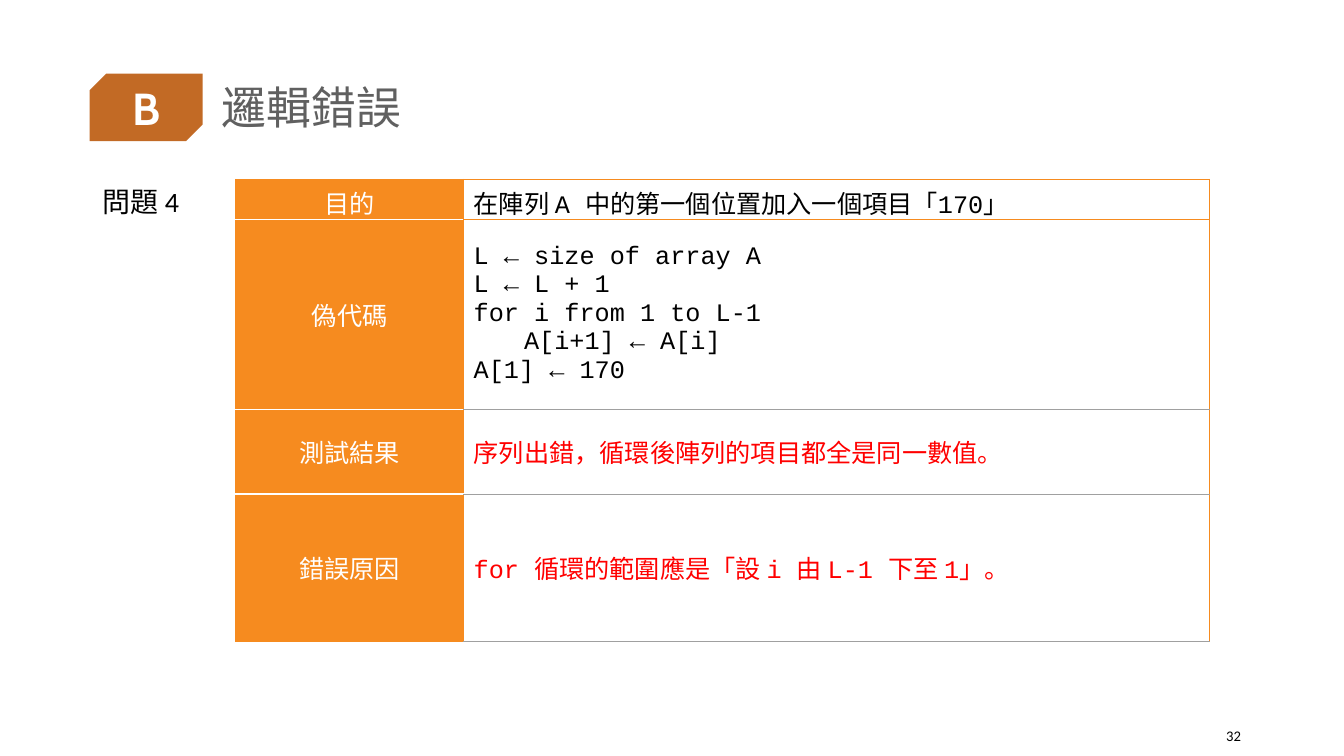
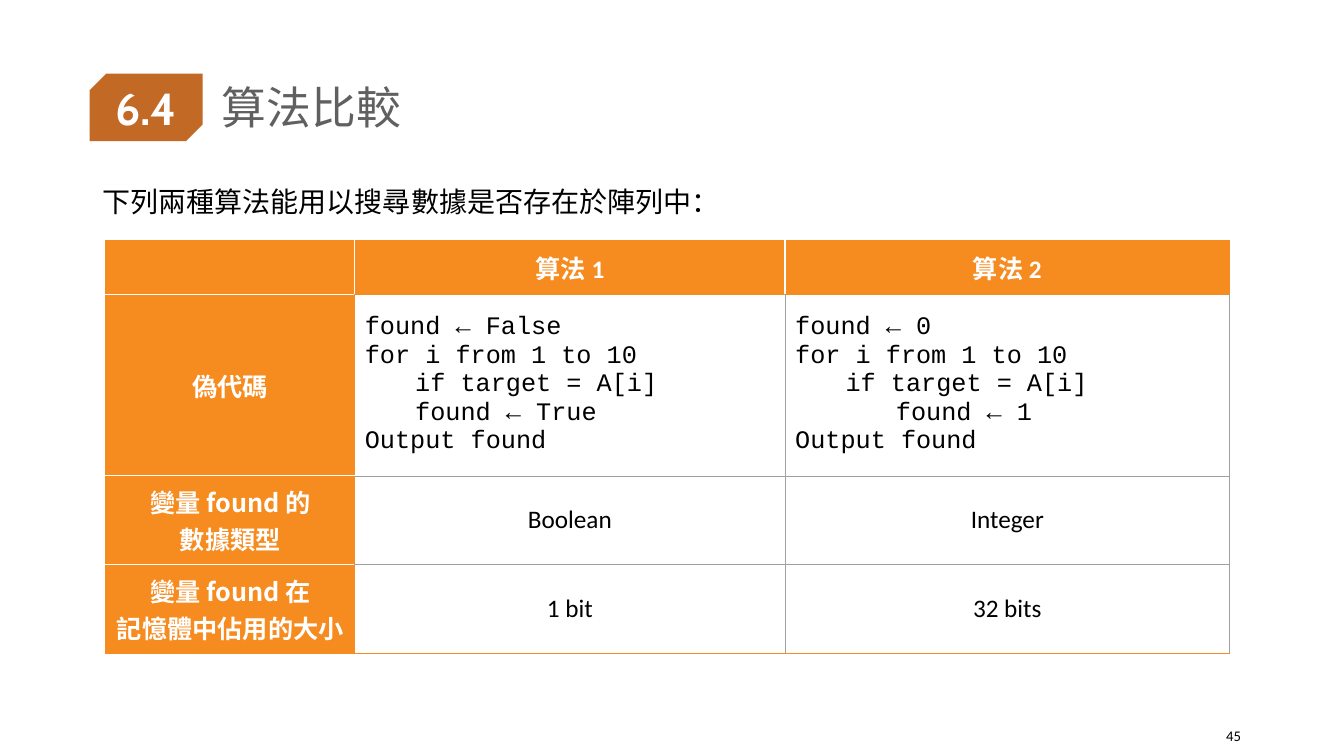
"""Build two lesson slides on logic errors and algorithm comparison."""
from lxml import etree
from pptx import Presentation
from pptx.dml.color import RGBColor
from pptx.enum.shapes import MSO_SHAPE
from pptx.enum.text import MSO_ANCHOR, PP_ALIGN
from pptx.oxml.ns import qn
from pptx.util import Pt

BADGE_SHAPE = MSO_SHAPE.SNIP_2_DIAG_RECTANGLE
MIDDLE, TOP = MSO_ANCHOR.MIDDLE, MSO_ANCHOR.TOP
LEFT, CENTER, RIGHT = PP_ALIGN.LEFT, PP_ALIGN.CENTER, PP_ALIGN.RIGHT

COLORS = {
    "badge": "C26A25",
    "title": "606060",
    "orange": "F68B1F",
    "white": "FFFFFF",
    "black": "000000",
    "red": "FF0000",
    "grey": "A0A0A0",
}
CJK, LATIN, MONO, BADGE = "Noto Sans CJK TC", "Calibri", "Courier New", "Cabin"
NEIGHBOURS = {"L": (0, -1), "R": (0, 1), "T": (-1, 0), "B": (1, 0)}


def rgb(name):
    return RGBColor.from_string(COLORS[name])


def style_run(run, font, size, color, bold=False):
    run.font.name = font
    run.font.size = Pt(size)
    run.font.bold = bold
    run.font.color.rgb = rgb(color)
    east_asian = etree.Element(qn("a:ea"))
    east_asian.set("typeface", MONO if font == MONO else CJK)
    run.font._element.find(qn("a:latin")).addnext(east_asian)


def write(frame, lines, size, color, align=LEFT, bold=False):
    for index, segments in enumerate(lines):
        paragraph = frame.add_paragraph() if index else frame.paragraphs[0]
        paragraph.alignment = align
        for text, font in segments:
            run = paragraph.add_run()
            run.text = text
            style_run(run, font, size, color, bold)


def lines_in(font, *texts):
    return [[(text, font)] for text in texts]


def add_text(slide, box, text, font, size, color, align=LEFT, anchor=MIDDLE):
    frame = slide.shapes.add_textbox(*map(Pt, box)).text_frame
    frame.word_wrap = True
    frame.vertical_anchor = anchor
    write(frame, lines_in(font, text), size, color, align)
    return frame


def add_badge(slide, text):
    badge = slide.shapes.add_shape(BADGE_SHAPE, Pt(64.1), Pt(52.6), Pt(80.6), Pt(48.2))
    badge.adjustments[0], badge.adjustments[1] = 0.245, 0
    badge.shadow.inherit = False
    badge.fill.solid()
    badge.fill.fore_color.rgb = rgb("badge")
    badge.line.fill.background()
    badge.text_frame.word_wrap = False
    badge.text_frame.vertical_anchor = MIDDLE
    write(badge.text_frame, lines_in(BADGE, text), 32, "white", CENTER, True)


def add_page(deck, section, title, intro, intro_font, number):
    slide = deck.slides.add_slide(deck.slide_layouts[6])
    add_badge(slide, section)
    heading = add_text(slide, (151.2, 28.8, 743, 99.4), title, CJK, 32, "title")
    heading.paragraphs[0].line_spacing = 0.9
    add_text(slide, (833, 511.2, 60.5, 28.8), number, LATIN, 10.5, "black", RIGHT)
    add_text(slide, (66.2, 128.5, 828, 40), intro, intro_font, 20, "black", anchor=TOP)
    return slide


def set_border(cell, side, color):
    width = Pt(0.5 if color == "grey" else 1)
    line = etree.SubElement(cell._tc.get_or_add_tcPr(), qn(f"a:ln{side}"), w=str(width))
    fill = etree.SubElement(line, qn("a:solidFill"))
    etree.SubElement(fill, qn("a:srgbClr"), val=COLORS[color])


def border_color(row, col, side, shape, is_label, accent_sides):
    row_step, col_step = NEIGHBOURS[side]
    other = row + row_step, col + col_step
    inside = 0 <= other[0] < shape[0] and 0 <= other[1] < shape[1]
    if not inside:
        return "orange" if is_label(row, col) or side in accent_sides else "grey"
    labels = is_label(row, col) + is_label(*other)
    if labels == 2:
        return "white"
    under_first_row = {row, other[0]} == {0, 1}
    return "orange" if labels or under_first_row else "grey"


def add_grid(slide, origin, widths, heights, cells, accent_sides, header_row=False, bold_labels=False):
    shape = len(heights), len(widths)
    table = slide.shapes.add_table(
        *shape, *map(Pt, origin), Pt(sum(widths)), Pt(sum(heights))
    ).table
    table.first_row = table.horz_banding = False
    for column, width in zip(table.columns, widths):
        column.width = Pt(width)
    for row, height in zip(table.rows, heights):
        row.height = Pt(height)

    def is_label(row, col):
        return col == 0 or (header_row and row == 0)

    for row, contents in enumerate(cells):
        for col, (lines, color, align) in enumerate(contents):
            cell = table.cell(row, col)
            cell.vertical_anchor = MIDDLE
            for side in NEIGHBOURS:
                set_border(cell, side, border_color(row, col, side, shape, is_label, accent_sides))
            if is_label(row, col):
                cell.fill.solid()
                cell.fill.fore_color.rgb = rgb("orange")
            else:
                cell.fill.background()
            write(cell.text_frame, lines, 18, color, align, bold_labels and is_label(row, col))


def label(*texts, font=CJK):
    return lines_in(font, *texts), "white", CENTER


def code(*texts):
    return lines_in(MONO, *texts), "black", LEFT


def value(text):
    return lines_in(LATIN, text), "black", CENTER


def sentence(color, *segments):
    return [segments], color, LEFT


def build_logic_error(deck):
    slide = add_page(deck, "B", "邏輯錯誤", "問題 4", LATIN, "32")
    purpose = sentence(
        "black", ("在陣列 ", CJK), ("A ", MONO), ("中的第一個位置加入一個項目「", CJK),
        ("170", MONO), ("」", CJK),
    )
    pseudocode = code(
        "L ← size of array A", "L ← L + 1", "for i from 1 to L-1",
        "\tA[i+1] ← A[i]", "A[1] ← 170",
    )
    result = sentence("red", ("序列出錯，循環後陣列的項目都全是同一數值。", LATIN))
    cause = sentence(
        "red", ("for ", MONO), ("循環的範圍應是「設 ", LATIN), ("i ", MONO), ("由 ", LATIN),
        ("L-1 ", MONO), ("下至 ", LATIN), ("1", MONO), ("」。", LATIN),
    )
    cells = [
        [label("目的"), purpose],
        [label("偽代碼"), pseudocode],
        [label("測試結果"), result],
        [label("錯誤原因"), cause],
    ]
    add_grid(slide, (168.5, 128.2), (162.7, 532.8), (28.8, 135.4, 60.5, 105.1), cells, "TR")


def build_comparison(deck):
    intro = "下列兩種算法能用以搜尋數據是否存在於陣列中："
    slide = add_page(deck, "6.4", "算法比較", intro, CJK, "45")
    boolean_search = code(
        "found ← False", "for i from 1 to 10", "\tif target = A[i]",
        "\tfound ← True", "Output found",
    )
    integer_search = code(
        "found ← 0", "for i from 1 to 10", "\tif target = A[i]",
        "\t\tfound ← 1", "Output found",
    )
    cells = [
        [label(), label("算法 1", font=LATIN), label("算法 2", font=LATIN)],
        [label("偽代碼"), boolean_search, integer_search],
        [label("變量 found 的", "數據類型"), value("Boolean"), value("Integer")],
        [label("變量 found 在", "記憶體中佔用的大小"), value("1 bit"), value("32 bits")],
    ]
    add_grid(
        slide, (75.6, 172.1), (177.8, 307.4, 317.5), (38.2, 129.6, 63.4, 63.4), cells, "B",
        header_row=True, bold_labels=True,
    )


def main():
    deck = Presentation()
    deck.slide_width, deck.slide_height = Pt(960), Pt(540)
    build_logic_error(deck)
    build_comparison(deck)
    deck.save("out.pptx")


if __name__ == "__main__":
    main()
